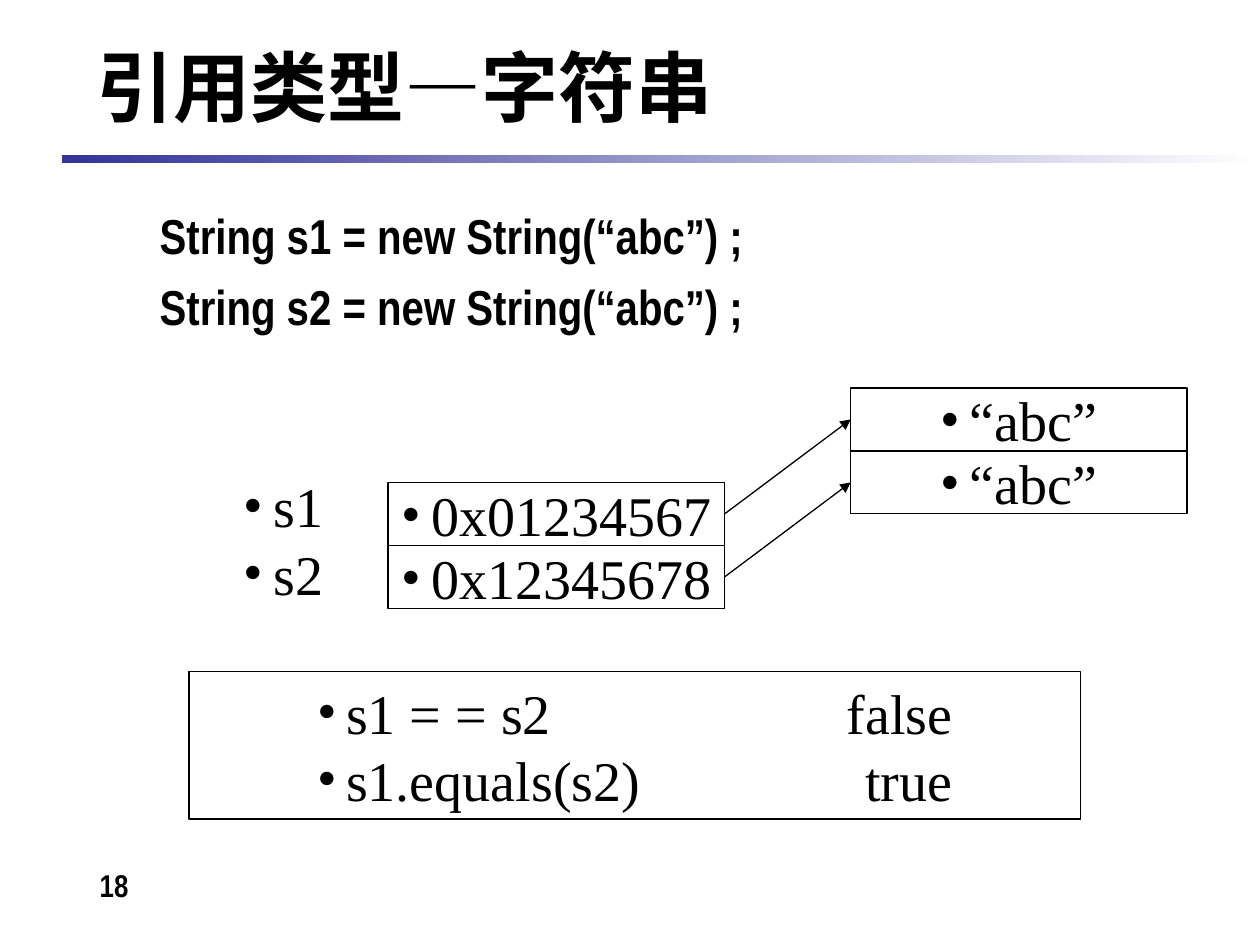
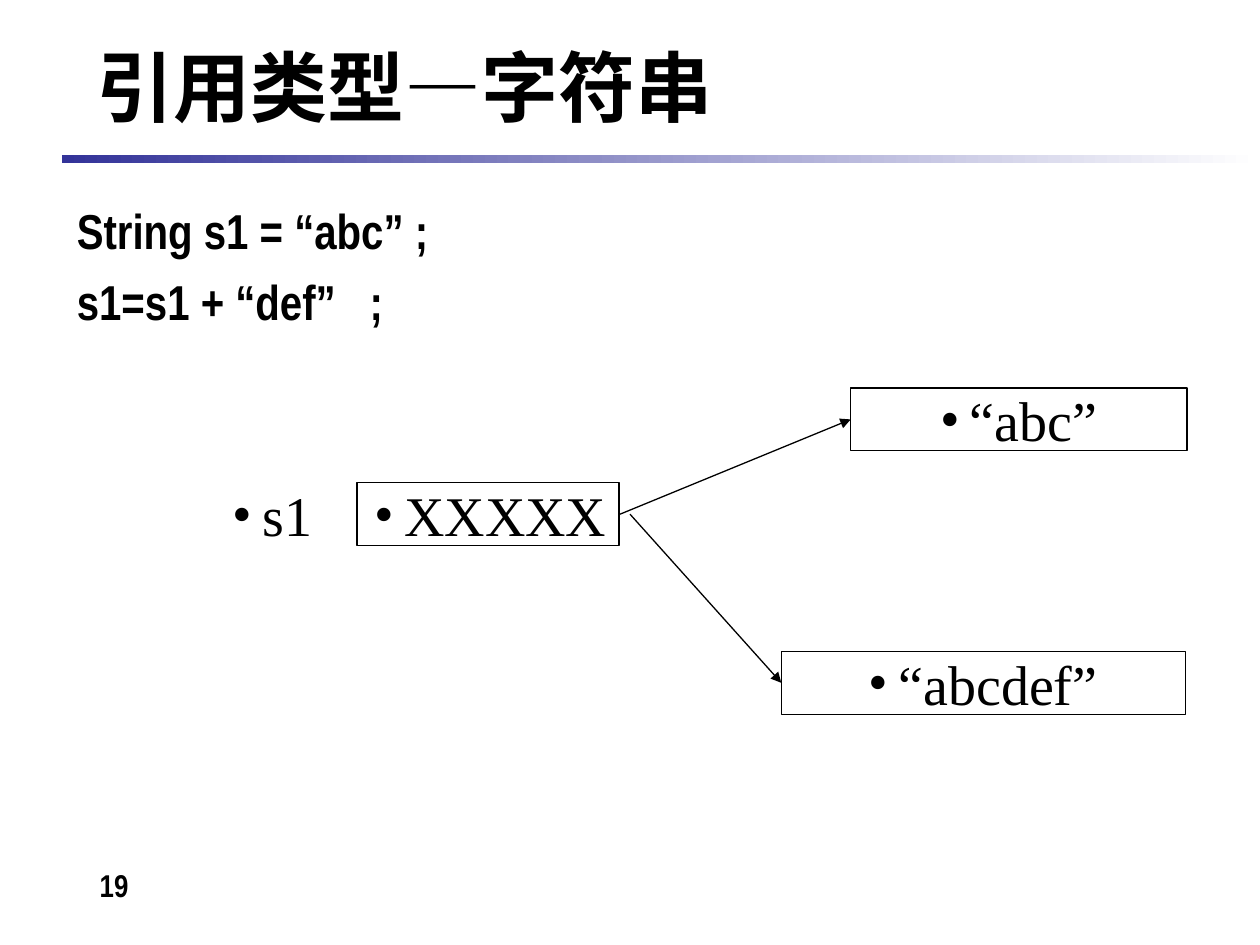
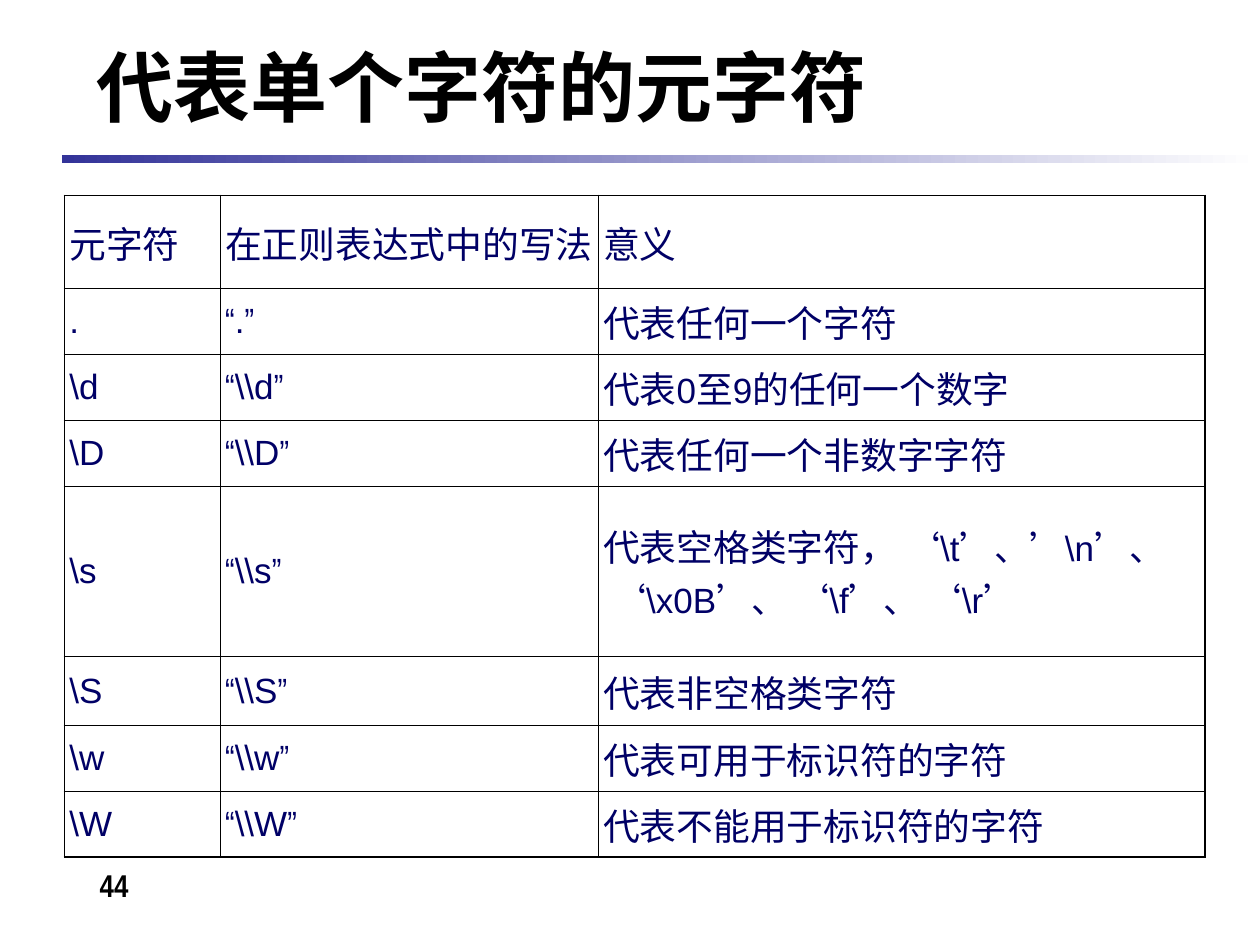
from itertools import groupby

from lxml import etree
from pptx import Presentation
from pptx.dml.color import RGBColor
from pptx.enum.shapes import MSO_CONNECTOR, MSO_SHAPE
from pptx.enum.text import MSO_ANCHOR, PP_ALIGN
from pptx.oxml.ns import qn
from pptx.util import Cm, Pt

RECT = MSO_SHAPE.RECTANGLE
STRAIGHT = MSO_CONNECTOR.STRAIGHT
TOP, MIDDLE = MSO_ANCHOR.TOP, MSO_ANCHOR.MIDDLE
LEFT, CENTER, RIGHT = PP_ALIGN.LEFT, PP_ALIGN.CENTER, PP_ALIGN.RIGHT

BLACK, WHITE, BAND, NAVY = "000000", "FFFFFF", "333399", "000066"
NARROW, SERIF, SANS, CJK = "Arial Narrow", "Times New Roman", "Arial", "Noto Sans CJK SC"
BOX_H = 1.27
OBJECT_X, OBJECT_Y, OBJECT_W = 17.15, 7.82, 6.78
POINTER_Y = 9.73
LABEL_W = 2.54

COLUMNS = [3.14, 7.62, 12.23]
ROWS = [1.88, 1.33, 1.33, 1.32, 3.43, 1.4, 1.33, 1.32]
HEADER = ("元字符", "在正则表达式中的写法", "意义")
MEANINGS = {
    ".": "代表任何一个字符",
    "\\d": "代表0至9的任何一个数字",
    "\\D": "代表任何一个非数字字符",
    "\\s": "代表空格类字符， ‘\\t’、’\\n’、 ‘\\x0B’、 ‘\\f’、 ‘\\r’",
    "\\S": "代表非空格类字符",
    "\\w": "代表可用于标识符的字符",
    "\\W": "代表不能用于标识符的字符",
}


def rgb(value):
    return RGBColor.from_string(value)


def child(parent, tag, **attrs):
    return etree.SubElement(parent, qn(tag), **attrs)


def add_run(p, text, size, font, color=BLACK, bold=False):
    r = p.add_run()
    r.text = text
    r.font.size, r.font.name, r.font.bold = Pt(size), font, bold
    r.font.color.rgb = rgb(color)
    child(r._r.get_or_add_rPr(), "a:ea", typeface=CJK)


def write(tf, text, size=32, font=SERIF, bold=False, align=CENTER, anchor=MIDDLE,
          before=0, bullet=False, wrap=True, hang=0, tab=None, tab_align="l"):
    tf.word_wrap, tf.vertical_anchor = wrap, anchor
    for i, line in enumerate(text.split("\n")):
        p = tf.paragraphs[0] if i == 0 else tf.add_paragraph()
        p.alignment, p.space_before = align, Pt(before)
        pPr = p._p.get_or_add_pPr()
        if hang:
            pPr.set("marL", str(Cm(hang)))
            pPr.set("indent", str(-Cm(hang)))
        if bullet:
            child(child(pPr, "a:buClr"), "a:srgbClr", val=BLACK)
            child(pPr, "a:buFont", typeface=SERIF)
            child(pPr, "a:buChar", char="•")
        if tab:
            child(child(pPr, "a:tabLst"), "a:tab", pos=str(Cm(tab)), algn=tab_align)
        add_run(p, line, size, font, bold=bold)


def add_text(s, text, x, y, w, h, **style):
    tb = s.shapes.add_textbox(Cm(x), Cm(y), Cm(w), Cm(h))
    write(tb.text_frame, text, **style)


def add_rect(s, x, y, w, h):
    sp = s.shapes.add_shape(RECT, Cm(x), Cm(y), Cm(w), Cm(h))
    sp.shadow.inherit = False
    return sp


def add_box(s, text, x, y, w, h=BOX_H, inset=0.25, wrap=False, **style):
    sp = add_rect(s, x, y, w, h)
    sp.fill.background()
    sp.line.color.rgb, sp.line.width = rgb(BLACK), Pt(0.75)
    sp.text_frame.margin_left = Cm(inset)
    write(sp.text_frame, text, bullet=True, wrap=wrap, **style)


def add_object(s, text, x, y, w):
    add_box(s, text, x, y, w, inset=0.45)


def add_label(s, text, x, y, h):
    add_text(s, text, x, y, LABEL_W, h, bullet=True, wrap=False)


def add_arrow(s, x1, y1, x2, y2):
    c = s.shapes.add_connector(STRAIGHT, Cm(x1), Cm(y1), Cm(x2), Cm(y2))
    c.line.color.rgb, c.line.width = rgb(BLACK), Pt(0.75)
    child(c.line._get_or_add_ln(), "a:tailEnd", type="triangle")
    child(c._element.spPr, "a:effectLst")


def add_code(s, text, x, y, w, h, **style):
    add_text(s, text, x, y, w, h, size=28, font=NARROW, bold=True,
             align=LEFT, anchor=TOP, before=7, **style)


def add_slide(prs, title, number):
    s = prs.slides.add_slide(prs.slide_layouts[6])
    band = add_rect(s, 1.25, 3.13, 24.15, 0.15)
    band.line.fill.background()
    band.fill.gradient()
    band.fill.gradient_angle = 0
    for stop, color, position in zip(band.fill.gradient_stops, (BAND, WHITE), (0, 1)):
        stop.color.rgb, stop.position = rgb(color), position
    add_text(s, number, 0.5, 17.33, 3.6, 1.32, size=18, font=NARROW, bold=True, anchor=TOP)
    add_text(s, title, 1.7, 0.53, 21.8, 2.39, size=44, font=NARROW, bold=True, align=LEFT)
    return s


def char_style(c):
    if c >= "一":
        return 21, CJK
    return 20, NARROW if c in "“”‘’" else SANS


def fill_cell(cell, text, outer):
    cell.margin_left = Cm(0.1)
    cell.margin_right = Cm(1.5 if "R" in outer else 0.1)
    cell.margin_top = cell.margin_bottom = Cm(0.13)
    cell.vertical_anchor = MIDDLE
    p = cell.text_frame.paragraphs[0]
    p.space_before = Pt(5.2)
    for (size, font), chars in groupby(text, char_style):
        add_run(p, "".join(chars), size, font, NAVY)
    tcPr = cell._tc.get_or_add_tcPr()
    for side in "LRTB":
        width = Pt(1.08 if side in outer else 0.45)
        ln = child(tcPr, f"a:ln{side}", w=str(width))
        child(child(ln, "a:solidFill"), "a:srgbClr", val=BLACK)
    cell.fill.background()


def add_grid(s, rows, x, y):
    frame = s.shapes.add_table(len(rows), len(COLUMNS), Cm(x), Cm(y),
                               Cm(sum(COLUMNS)), Cm(sum(ROWS)))
    table = frame.table
    table.first_row = table.horz_banding = False
    for column, width in zip(table.columns, COLUMNS):
        column.width = Cm(width)
    for i, (row, height) in enumerate(zip(rows, ROWS)):
        table.rows[i].height = Cm(height)
        for j, text in enumerate(row):
            edges = {"T": i == 0, "B": i == len(rows) - 1,
                     "L": j == 0, "R": j == len(row) - 1}
            fill_cell(table.cell(i, j), text, [k for k, v in edges.items() if v])


def new_strings(prs):
    s = add_slide(prs, "引用类型—字符串", "18")
    add_code(s, "String s1 = new String(“abc”) ;\nString s2 = new String(“abc”) ;",
             2.97, 4.01, 13.44, 3.15)
    add_label(s, "s1\ns2", 4.55, 9.32, 3.1)
    for i, address in enumerate(("0x01234567", "0x12345678")):
        pointer_y, object_y = POINTER_Y + i * BOX_H, OBJECT_Y + i * BOX_H
        add_box(s, address, 7.82, pointer_y, OBJECT_W, align=RIGHT)
        add_object(s, "“abc”", OBJECT_X, object_y, OBJECT_W)
        add_arrow(s, 14.6, pointer_y + BOX_H / 2, OBJECT_X, object_y + BOX_H / 2)
    add_box(s, "s1 = = s2\tfalse\ns1.equals(s2)\ttrue", 3.81, 13.54, 17.98, 2.97,
            inset=2.59, wrap=True, align=LEFT, hang=0.58, tab=12.8, tab_align="r")


def joined_string(prs):
    s = add_slide(prs, "引用类型—字符串", "19")
    add_code(s, "String s1 = “abc” ;\ns1=s1 + “def”\t;", 1.3, 3.91, 12.17, 3.48, tab=5.9)
    add_label(s, "s1", 4.33, POINTER_Y, BOX_H)
    add_box(s, "XXXXX", 7.2, POINTER_Y, 5.28, align=RIGHT)
    add_object(s, "“abc”", OBJECT_X, OBJECT_Y, OBJECT_W)
    add_object(s, "“abcdef”", 15.75, 13.13, 8.15)
    start_y = POINTER_Y + BOX_H / 2
    add_arrow(s, 12.5, start_y, OBJECT_X, OBJECT_Y + BOX_H / 2)
    add_arrow(s, 12.7, start_y, 15.75, 13.13 + BOX_H / 2)


def metacharacters(prs):
    s = add_slide(prs, "代表单个字符的元字符", "44")
    rows = [HEADER]
    for symbol, meaning in MEANINGS.items():
        escaped = symbol.replace("\\", "\\\\")
        rows.append((symbol, f"“{escaped}”", meaning))
    add_grid(s, rows, 1.3, 3.94)


def main():
    prs = Presentation()
    prs.slide_width, prs.slide_height = Cm(25.4), Cm(19.05)
    new_strings(prs)
    joined_string(prs)
    metacharacters(prs)
    prs.save("out.pptx")


if __name__ == "__main__":
    main()
